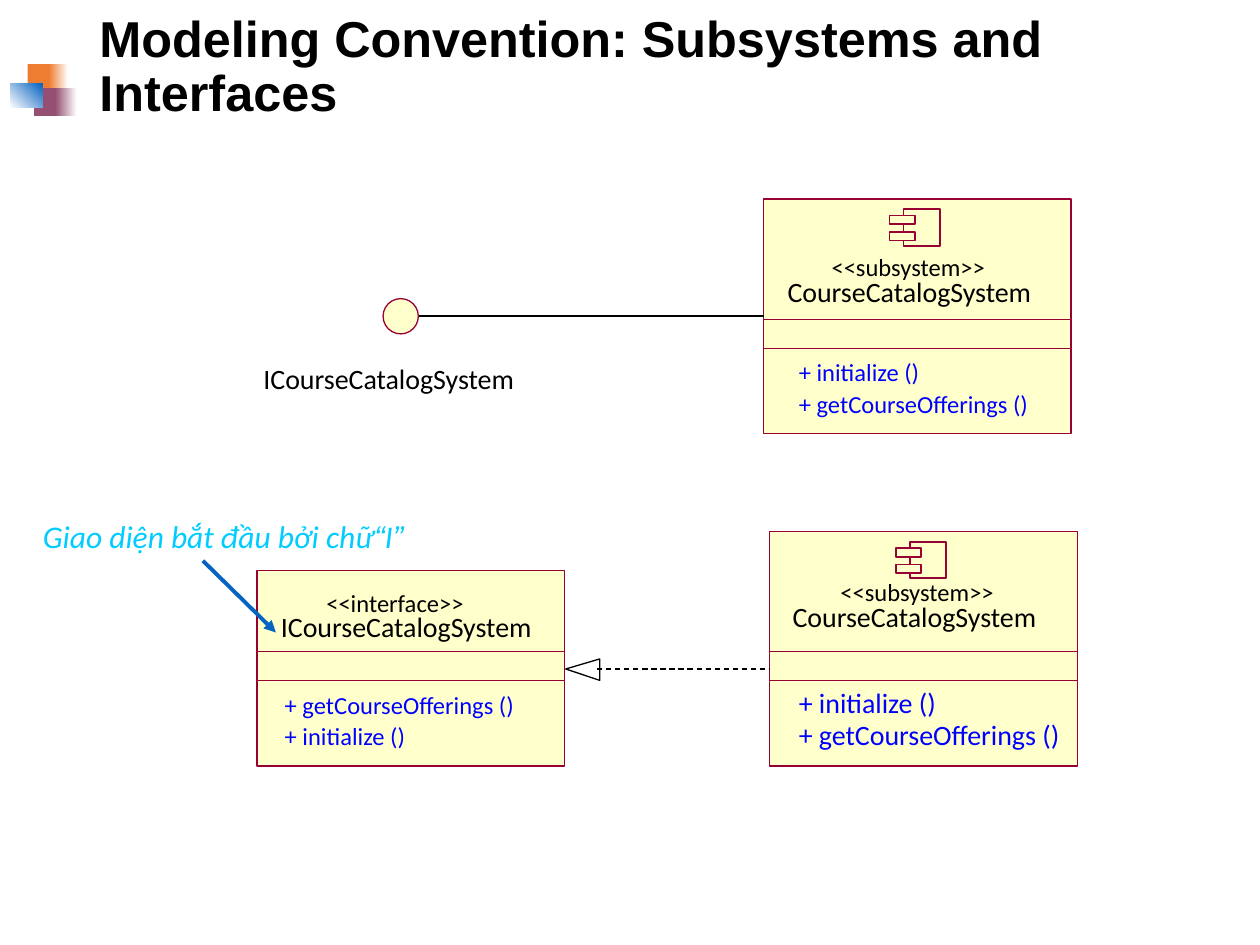
"""Build a slide on the modelling convention for subsystems and interfaces."""
from dataclasses import dataclass
from typing import Optional

from lxml.etree import SubElement
from pptx import Presentation
from pptx.dml.color import RGBColor
from pptx.enum.dml import MSO_LINE
from pptx.enum.shapes import MSO_CONNECTOR, MSO_SHAPE
from pptx.enum.text import MSO_ANCHOR
from pptx.oxml.ns import qn
from pptx.util import Inches, Pt


@dataclass(frozen=True)
class Theme:
    ink: str = "000000"
    paper: str = "FFFFFF"
    cream: str = "FFFFCC"
    maroon: str = "990033"
    operation: str = "0000FF"
    note: str = "00CCFF"
    arrow: str = "0563C1"
    orange: str = "ED7D31"
    plum: str = "954F72"
    heading_font: str = "Arial"
    body_font: str = "Calibri"
    heading_size: float = 28.8
    note_size: float = 18
    name_size: float = 16
    detail_size: float = 14


@dataclass(frozen=True)
class Area:
    left: float
    top: float
    width: float
    height: float

    def lengths(self) -> tuple:
        return tuple(Inches(v) for v in (self.left, self.top, self.width, self.height))


@dataclass(frozen=True)
class ClassBox:
    frame: Area
    name: str
    name_area: Area
    stereotype: str
    stereotype_area: Area
    divider: float
    operations: tuple
    operations_area: Area
    operation_size: float
    has_icon: bool = True


THEME = Theme()
DIVIDER_GAP = 0.23
MARGINS = (0.12, 0.06)

INITIALIZE = "+ initialize ()"
OFFERINGS = "+ getCourseOfferings ()"
CLASS_BOXES = (
    ClassBox(Area(6.06, 1.58, 2.44, 1.86),
             "CourseCatalogSystem", Area(6.25, 2.18, 1.99, 0.27),
             "<<subsystem>>", Area(6.6, 2, 1.26, 0.24), 2.53,
             (INITIALIZE, OFFERINGS), Area(6.22, 2.76, 2.19, 0.62), THEME.detail_size),
    ClassBox(Area(6.11, 4.22, 2.44, 1.86),
             "CourseCatalogSystem", Area(6.29, 4.76, 1.99, 0.27),
             "<<subsystem>>", Area(6.67, 4.58, 1.26, 0.24), 5.17,
             (INITIALIZE, OFFERINGS), Area(6.22, 5.4, 2.44, 0.63), THEME.name_size),
    ClassBox(Area(2.04, 4.53, 2.44, 1.55),
             "ICourseCatalogSystem", Area(2.23, 4.84, 2.07, 0.27),
             "<<interface>>", Area(2.59, 4.67, 1.13, 0.24), 5.17,
             (OFFERINGS, INITIALIZE), Area(2.14, 5.4, 2.36, 0.62), THEME.detail_size,
             has_icon=False),
)


def color(value: str) -> RGBColor:
    return RGBColor.from_string(value)


def add_block(page, area: Area, fill: str, line: Optional[str] = None, weight: float = 0,
              kind=MSO_SHAPE.RECTANGLE):
    block = page.shapes.add_shape(kind, *area.lengths())
    block.shadow.inherit = False
    block.fill.solid()
    block.fill.fore_color.rgb = color(fill)
    if line:
        block.line.color.rgb = color(line)
        block.line.width = Pt(weight)
    else:
        block.line.fill.background()
    return block


def add_fade(page, area: Area, start: str, end: str, angle: float) -> None:
    fill = add_block(page, area, start).fill
    fill.gradient()
    fill.gradient_angle = angle
    for stop, value in zip(fill.gradient_stops, (start, end)):
        stop.color.rgb = color(value)


def add_line(page, start: tuple, end: tuple, line: str, weight: float):
    connector = page.shapes.add_connector(
        MSO_CONNECTOR.STRAIGHT, *(Inches(v) for v in start + end))
    connector.line.color.rgb = color(line)
    connector.line.width = Pt(weight)
    SubElement(connector.element.spPr, qn("a:effectLst"))
    return connector


def add_text(page, area: Area, lines: tuple, size: float, ink: str = THEME.ink,
             font: str = THEME.body_font, margins: tuple = (0, 0), wrap: bool = False):
    frame = page.shapes.add_textbox(*area.lengths()).text_frame
    frame.word_wrap = wrap
    frame.margin_left = frame.margin_right = Inches(margins[0])
    frame.margin_top = frame.margin_bottom = Inches(margins[1])
    frame.text = "\n".join(lines)
    for paragraph in frame.paragraphs:
        paragraph.font.size = Pt(size)
        paragraph.font.name = font
        paragraph.font.color.rgb = color(ink)
    return frame


def add_emblem(page) -> None:
    add_block(page, Area(0.22, 0.51, 0.2, 0.22), THEME.orange)
    add_fade(page, Area(0.39, 0.51, 0.15, 0.22), THEME.orange, THEME.paper, 0)
    add_block(page, Area(0.27, 0.7, 0.19, 0.22), THEME.plum)
    add_fade(page, Area(0.44, 0.7, 0.17, 0.22), THEME.plum, THEME.paper, 0)
    add_fade(page, Area(0.08, 0.66, 0.26, 0.19), THEME.paper, THEME.arrow, 45)


def add_title(page) -> None:
    title = add_text(page, Area(0.69, 0.15, 8.62, 0.78),
                     ("Modeling Convention: Subsystems and\vInterfaces",),
                     THEME.heading_size, font=THEME.heading_font,
                     margins=(0.1, 0.05), wrap=True)
    title.vertical_anchor = MSO_ANCHOR.MIDDLE
    title.paragraphs[0].line_spacing = 0.9
    title.paragraphs[0].font.bold = True


def add_note(page) -> None:
    note = add_text(page, Area(0.22, 4.04, 3.61, 0.46), ("Giao diện bắt đầu bởi chữ",),
                    THEME.note_size, THEME.note, margins=MARGINS, wrap=True)
    paragraph = note.paragraphs[0]
    paragraph.font.italic = True
    for words, font in (("“", THEME.heading_font), ("I", THEME.body_font),
                        ("”", THEME.heading_font)):
        span = paragraph.add_run()
        span.text = words
        span.font.name = font
    arrow = add_line(page, (1.61, 4.45), (2.19, 5.02), THEME.arrow, 2.25)
    SubElement(arrow.line._get_or_add_ln(), qn("a:tailEnd"), type="triangle")


def add_component_icon(page, left: float, top: float) -> None:
    for area in (Area(left + 0.11, top, 0.29, 0.29),
                 Area(left, top + 0.18, 0.2, 0.07),
                 Area(left, top + 0.05, 0.2, 0.07)):
        add_block(page, area, THEME.cream, THEME.maroon, 1)


def add_class_box(page, box: ClassBox) -> None:
    frame = box.frame
    add_block(page, frame, THEME.cream, THEME.maroon)
    add_text(page, box.name_area, (box.name,), THEME.name_size)
    add_text(page, box.stereotype_area, (box.stereotype,), THEME.detail_size)
    if box.has_icon:
        add_component_icon(page, frame.left + 1, frame.top + 0.08)
    for height in (box.divider, box.divider + DIVIDER_GAP):
        add_line(page, (frame.left, height), (frame.left + frame.width, height),
                 THEME.maroon, 0.25)
    operations = add_text(page, box.operations_area, box.operations, box.operation_size,
                          THEME.operation, margins=MARGINS, wrap=True)
    for paragraph in operations.paragraphs:
        paragraph.line_spacing = Pt(18)


def add_realization(page) -> None:
    outline = page.shapes.build_freeform(Inches(4.49), Inches(5.31))
    outline.add_line_segments([(Inches(4.76), Inches(5.4)), (Inches(4.76), Inches(5.23))])
    head = outline.convert_to_shape()
    head.shadow.inherit = False
    head.fill.background()
    head.line.color.rgb = color(THEME.ink)
    head.line.width = Pt(0.75)
    dashes = add_line(page, (4.74, 5.31), (6.11, 5.31), THEME.ink, 0.75)
    dashes.line.dash_style = MSO_LINE.DASH


def add_lollipop(page) -> None:
    add_line(page, (3.3, 2.51), (6.06, 2.51), THEME.ink, 1)
    add_block(page, Area(3.04, 2.37, 0.28, 0.28), THEME.cream, THEME.maroon,
              kind=MSO_SHAPE.OVAL)
    add_text(page, Area(2.09, 2.87, 2.28, 0.27), ("ICourseCatalogSystem",), THEME.name_size)


def main() -> None:
    deck = Presentation()
    deck.slide_width, deck.slide_height = Inches(10), Inches(7.5)
    page = deck.slides.add_slide(deck.slide_layouts[6])
    add_emblem(page)
    add_title(page)
    for box in CLASS_BOXES:
        add_class_box(page, box)
    add_realization(page)
    add_lollipop(page)
    add_note(page)
    deck.save("out.pptx")


if __name__ == "__main__":
    main()
